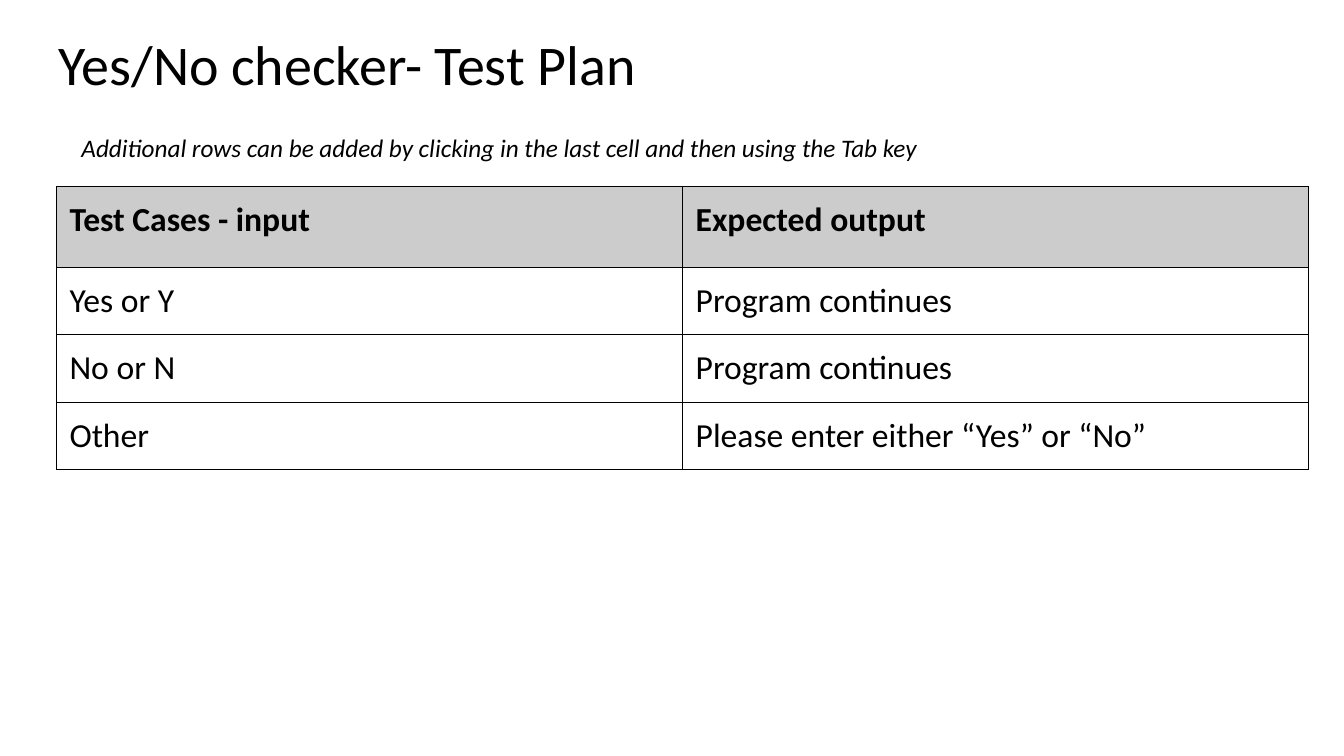
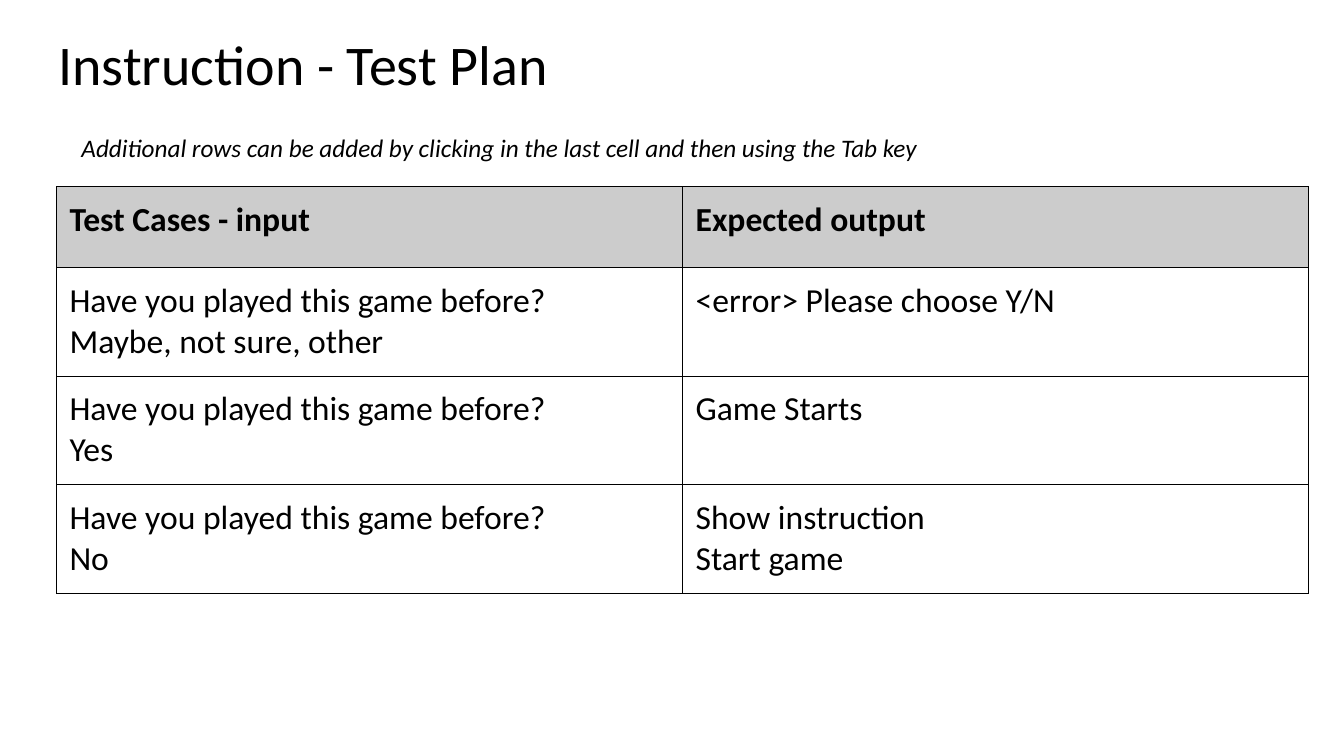
from dataclasses import dataclass

from lxml import etree
from pptx import Presentation
from pptx.dml.color import RGBColor
from pptx.enum.text import MSO_ANCHOR
from pptx.oxml.ns import qn
from pptx.slide import Slide
from pptx.table import _Cell
from pptx.text.text import TextFrame
from pptx.util import Inches, Pt

TOP = MSO_ANCHOR.TOP
FONT = "Calibri"
COLORS = {"text": "000000", "line": "000000", "head": "CCCCCC"}
INSET = 0.13
LINE = 0.41
HEAD = 0.8
COL = 6.21
NOTE = "Additional rows can be added by clicking in the last cell and then using the Tab key"
HEADS = ("Test Cases - input", "Expected output")
ASK = "Have you played this game before?"


@dataclass(frozen=True)
class Style:
    size: int
    bold: bool = False
    italic: bool = False
    spacing: float = 1.0


@dataclass(frozen=True)
class Plan:
    title: str
    cases: tuple[tuple[str, str], ...]


TITLE = Style(40, spacing=0.9)
HINT = Style(18, italic=True)
HEADING = Style(24, bold=True)
BODY = Style(24)

PLANS = (
    Plan("Yes/No checker- Test Plan", (
        ("Yes or Y", "Program continues"),
        ("No or N", "Program continues"),
        ("Other", "Please enter either “Yes” or “No”"),
    )),
    Plan("Instruction - Test Plan", (
        (f"{ASK}\nMaybe, not sure, other", "<error> Please choose Y/N"),
        (f"{ASK}\nYes", "Game Starts"),
        (f"{ASK}\nNo", "Show instruction\nStart game"),
    )),
)


def write(frame: TextFrame, text: str, style: Style) -> None:
    """Write each line of the text as a paragraph."""
    frame.word_wrap = True
    for i, line in enumerate(text.split("\n")):
        para = frame.add_paragraph() if i else frame.paragraphs[0]
        para.line_spacing = style.spacing
        run = para.add_run()
        run.text = line
        font = run.font
        font.name, font.size = FONT, Pt(style.size)
        font.bold, font.italic = style.bold, style.italic
        font.color.rgb = RGBColor.from_string(COLORS["text"])


def add_text(slide: Slide, box: tuple[float, ...], text: str, style: Style,
             inset: tuple[float, float]) -> None:
    frame = slide.shapes.add_textbox(*map(Inches, box)).text_frame
    frame.margin_left = frame.margin_right = Inches(inset[0])
    frame.margin_top = frame.margin_bottom = Inches(inset[1])
    frame.vertical_anchor = TOP
    write(frame, text, style)


def add_border(cell: _Cell) -> None:
    props = cell._tc.get_or_add_tcPr()
    for side in ("lnL", "lnR", "lnT", "lnB"):
        line = etree.SubElement(props, qn(f"a:{side}"), w=str(Pt(0.75)))
        fill = etree.SubElement(line, qn("a:solidFill"))
        etree.SubElement(fill, qn("a:srgbClr"), val=COLORS["line"])


def fill_cell(cell: _Cell, text: str, head: bool) -> None:
    cell.margin_left = cell.margin_right = Inches(INSET)
    cell.margin_top = cell.margin_bottom = Inches(INSET)
    cell.vertical_anchor = TOP
    add_border(cell)
    if head:
        cell.fill.solid()
        cell.fill.fore_color.rgb = RGBColor.from_string(COLORS["head"])
    else:
        cell.fill.background()
    write(cell.text_frame, text, HEADING if head else BODY)


def row_height(row: tuple[str, str]) -> float:
    lines = max(text.count("\n") + 1 for text in row)
    return 2 * INSET + LINE * lines


def add_cases(slide: Slide, cases: tuple[tuple[str, str], ...]) -> None:
    rows = (HEADS, *cases)
    sizes = [HEAD, *map(row_height, cases)]
    box = (0.56, 1.85, COL * len(HEADS), sum(sizes))
    table = slide.shapes.add_table(len(rows), len(HEADS), *map(Inches, box)).table
    table.horz_banding = False
    for col in table.columns:
        col.width = Inches(COL)
    for r, (row, size) in enumerate(zip(rows, sizes)):
        table.rows[r].height = Inches(size)
        for c, text in enumerate(row):
            fill_cell(table.cell(r, c), text, head=r == 0)


def main() -> None:
    deck = Presentation()
    deck.slide_width, deck.slide_height = Inches(13.33), Inches(7.5)
    blank = deck.slide_layouts[6]
    for plan in PLANS:
        slide = deck.slides.add_slide(blank)
        add_text(slide, (0.45, 0.24, 12.42, 0.84), plan.title, TITLE, (INSET, INSET))
        add_cases(slide, plan.cases)
        add_text(slide, (0.71, 1.26, 10.94, 0.4), NOTE, HINT, (0.1, 0.05))
    deck.save("out.pptx")


if __name__ == "__main__":
    main()
